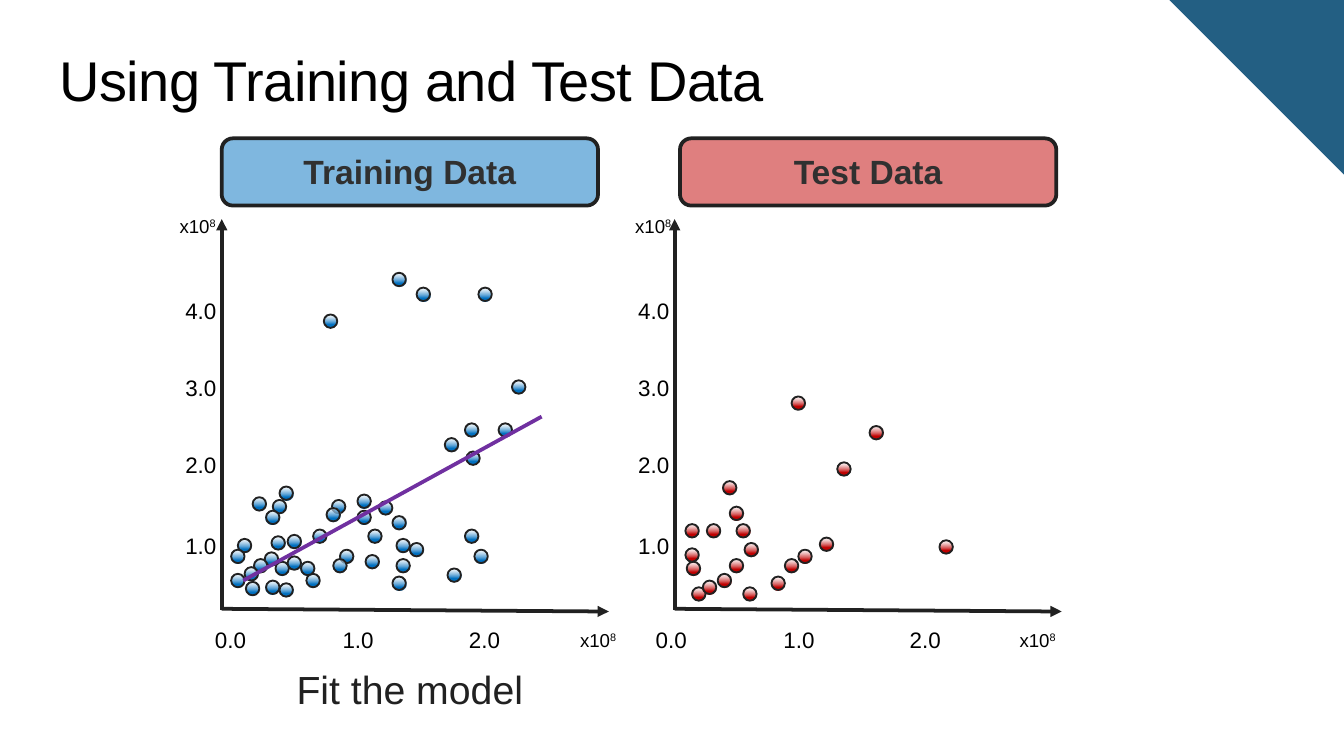
from pptx import Presentation
from pptx.dml.color import RGBColor as RGB
from pptx.enum.shapes import MSO_CONNECTOR as Conn, MSO_SHAPE as Kind
from pptx.enum.text import MSO_ANCHOR as Anchor, MSO_AUTO_SIZE as Auto, PP_ALIGN as Align
from pptx.oxml.ns import qn
from pptx.util import Inches, Pt
from lxml.etree import SubElement as Sub

BLACK = RGB(0x00, 0x00, 0x00)
WHITE = RGB(0xFF, 0xFF, 0xFF)
INK = RGB(0x21, 0x21, 0x21)
GREY = RGB(0x30, 0x30, 0x30)
TEAL = RGB(0x23, 0x5F, 0x83)
BLUE = RGB(0x00, 0x70, 0xC0)
RED = RGB(0xC0, 0x00, 0x00)
PURPLE = RGB(0x70, 0x30, 0xA0)

WIDE = 10
HIGH = WIDE * 9 / 16
DOT = 0.1
TRAIN = [
    (2.41, 2.34), (2.92, 2.03), (3.1, 2.14), (3.56, 2.14), (3.81, 2.83),
    (3.71, 3.15), (3.46, 3.15), (3.31, 3.26), (3.47, 3.36), (3.46, 3.94),
    (3.53, 4.09), (3.33, 4.23), (3.05, 4.04), (2.92, 3.84), (2.82, 3.73),
    (2.66, 3.68), (2.95, 4.01), (2.95, 4.16), (2.92, 4.29), (2.08, 3.62),
    (2.03, 3.72), (1.88, 3.7), (1.98, 3.8), (1.77, 4.01), (1.72, 4.09),
    (1.72, 4.27), (2.47, 3.72), (2.66, 3.8), (2.74, 3.94), (2.43, 3.78),
    (2.33, 3.94), (2.72, 4.13), (2.53, 4.09), (2.48, 4.16), (2.14, 3.98),
    (2.02, 3.99), (1.97, 4.11), (2.28, 4.27), (2.24, 4.18), (2.14, 4.14),
    (2.05, 4.18), (1.89, 4.16), (2.08, 4.34), (1.98, 4.32), (1.82, 4.22),
    (1.83, 4.33),
]
TEST = [
    (5.15, 4.37), (6.99, 4.02), (6.47, 3.17), (6.23, 3.44), (5.89, 2.95),
    (6.1, 4), (5.94, 4.09), (5.84, 4.16), (5.74, 4.29), (5.38, 3.58),
    (5.43, 3.77), (5.26, 3.9), (5.48, 3.9), (5.1, 3.9), (5.1, 4.08),
    (5.54, 4.04), (5.11, 4.18), (5.53, 4.37), (5.43, 4.16), (5.34, 4.27),
    (5.23, 4.32),
]
ROWS = [("1.0", 3.78), ("2.0", 3.18), ("3.0", 2.61), ("4.0", 2.03)]
COLS = [("0.0", 0), ("1.0", 0.95), ("2.0", 1.89)]


def add_run(para, text, size, color):
    run = para.add_run()
    run.text = text
    font = run.font
    font.name = "Arial"
    font.size = Pt(size)
    font.color.rgb = color
    return run


def add_text(slide, box, text, size, color, align=Align.CENTER, inset=False):
    frame = slide.shapes.add_textbox(*map(Inches, box)).text_frame
    frame.word_wrap = True
    frame.auto_size = Auto.SHAPE_TO_FIT_TEXT
    if not inset:
        frame.margin_left = frame.margin_right = 0
        frame.margin_top = frame.margin_bottom = 0
    para = frame.paragraphs[0]
    para.alignment = align
    return frame, add_run(para, text, size, color)


def add_label(slide, box, text, size):
    frame, _ = add_text(slide, box, text, size, BLACK)
    frame.vertical_anchor = Anchor.MIDDLE
    para = frame.paragraphs[0]
    para.line_spacing = Pt(28.5)
    return para


def add_tick(slide, left, top, text):
    add_label(slide, (left, top, 0.27, 0.36), text, 12)


def add_unit(slide, left, top):
    para = add_label(slide, (left, top, 0.38, 0.35), "x10", 10)
    power = add_run(para, "8", 10, BLACK)
    power.font._element.set("baseline", "30000")


def add_line(slide, start, end, color, arrow=False):
    ends = map(Inches, (*start, *end))
    line = slide.shapes.add_connector(Conn.STRAIGHT, *ends)
    line.line.color.rgb = color
    line.line.width = Pt(2)
    if arrow:
        Sub(line.line._get_or_add_ln(), qn("a:tailEnd"), type="triangle")
    Sub(line._element.spPr, qn("a:effectLst"))


def add_shape(slide, kind, box, width=0):
    shape = slide.shapes.add_shape(kind, *map(Inches, box))
    shape.shadow.inherit = False
    if width:
        shape.line.color.rgb = INK
        shape.line.width = Pt(width)
    else:
        shape.line.fill.background()
    return shape


def set_alpha(node):
    Sub(node.find(qn("a:srgbClr")), qn("a:alpha"), val="50000")


def add_dot(slide, left, top, color):
    fill = add_shape(slide, Kind.OVAL, (left, top, DOT, DOT), 1).fill
    fill.gradient()
    fill.gradient_angle = 270
    first, last = fill.gradient_stops
    first.position, first.color.rgb = 0, WHITE
    last.position, last.color.rgb = 0.75, color
    set_alpha(first._gs)


def add_banner(slide, left, text, color):
    shape = add_shape(slide, Kind.ROUNDED_RECTANGLE, (left, 1.03, 2.8, 0.5), 2)
    shape.fill.solid()
    shape.fill.fore_color.rgb = color
    set_alpha(shape._element.spPr.find(qn("a:solidFill")))
    frame = shape.text_frame
    frame.vertical_anchor = Anchor.MIDDLE
    para = frame.paragraphs[0]
    para.alignment = Align.CENTER
    para.line_spacing = Pt(21)
    add_run(para, text, 18, GREY).font.bold = True


def add_plot(slide, left, base, units, dots, color):
    add_line(slide, (left, 4.54), (left, 1.63), INK, True)
    add_line(slide, (left, 4.53), (left + 2.88, 4.55), INK, True)
    for x, y in dots:
        add_dot(slide, x, y, color)
    for text, step in COLS:
        add_tick(slide, base + step, 4.48, text)
    for text, top in ROWS:
        add_tick(slide, left - 0.29, top, text)
    for x, y in units:
        add_unit(slide, x, y)


def add_corner(slide):
    shape = add_shape(slide, Kind.RIGHT_TRIANGLE, (8.7, 0, 1.3, 1.3))
    shape.rotation = 180
    shape.fill.solid()
    shape.fill.fore_color.rgb = TEAL


def add_title(slide, text):
    box = (0.44, 0.34, 9.23, 0.5)
    _, run = add_text(slide, box, text, 30, BLACK, Align.LEFT)
    run.font._element.set("spc", "-25")


def main():
    deck = Presentation()
    deck.slide_width, deck.slide_height = Inches(WIDE), Inches(HIGH)
    slide = deck.slides.add_slide(deck.slide_layouts[6])
    add_corner(slide)
    add_plot(slide, 1.65, 1.58, [(1.28, 1.39), (4.26, 4.47)], TRAIN, BLUE)
    add_plot(slide, 5.02, 4.86, [(4.67, 1.39), (7.53, 4.47)], TEST, RED)
    add_line(slide, (1.81, 4.32), (4.03, 3.1), PURPLE)
    add_text(slide, (1.65, 4.9, 2.8, 0.45), "Fit the model", 21, INK, inset=True)
    add_title(slide, "Using Training and Test Data")
    add_banner(slide, 5.06, "Test Data", RED)
    add_banner(slide, 1.65, "Training Data", BLUE)
    deck.save("out.pptx")


if __name__ == "__main__":
    main()
